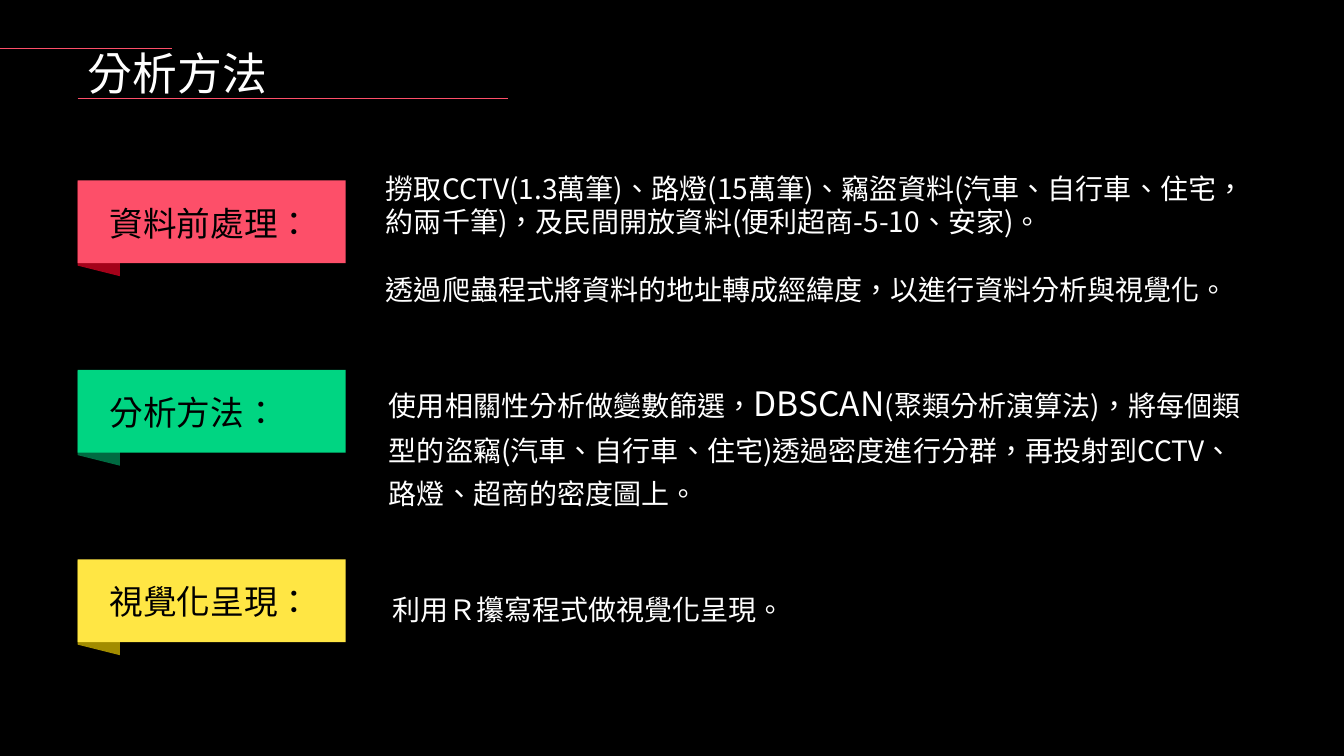
from lxml import etree
from pptx import Presentation
from pptx.dml.color import RGBColor
from pptx.enum.lang import MSO_LANGUAGE_ID
from pptx.enum.shapes import MSO_CONNECTOR, MSO_SHAPE
from pptx.enum.text import MSO_ANCHOR, MSO_AUTO_SIZE, PP_ALIGN
from pptx.oxml.ns import qn
from pptx.util import Inches, Pt

BLACK = RGBColor(0x00, 0x00, 0x00)
WHITE = RGBColor(0xFF, 0xFF, 0xFF)
RED, DARK_RED = RGBColor(0xFD, 0x4F, 0x69), RGBColor(0xA4, 0x02, 0x1A)
GREEN, DARK_GREEN = RGBColor(0x00, 0xD5, 0x82), RGBColor(0x00, 0x6A, 0x41)
YELLOW, DARK_YELLOW = RGBColor(0xFF, 0xE6, 0x44), RGBColor(0xA2, 0x8C, 0x00)
HEAD_FONT, BODY_FONT = "Karla", "Noto Sans CJK SC"

WIDTH, HEIGHT = 13.33, 7.5
LEFT = 0.77
ROW_TOP, ROW_PITCH = 1.79, 1.88
BANNER_W, BANNER_H = 2.66, 0.82
FOLD_W, FOLD_H = 0.42, 0.94
BODY_W = 8.7

# banner text, banner colour, fold colour, body box (left, offset from row top, height),
# line pitch in points, paragraphs made of (text, size) runs
ROWS = [
    ("資料前處理：", RED, DARK_RED, (3.73, -0.14, 1.45), 24, [
        [("撈取CCTV(1.3萬筆)、路燈(15萬筆)、竊盜資料(汽車、自行車、住宅，約兩千筆)，"
          "及民間開放資料(便利超商-5-10、安家)。", 20)],
        [("透過爬蟲程式將資料的地址轉成經緯度，以進行資料分析與視覺化。", 20)]]),
    ("分析方法：", GREEN, DARK_GREEN, (3.76, 0.05, 1.4), 31, [
        [("使用相關性分析做變數篩選，", 20), ("DBSCAN", 24),
         ("(聚類分析演算法)，將每個類型的盜竊(汽車、自行車、住宅)透過密度進行分群，"
          "再投射到CCTV、路燈、超商的密度圖上。", 20)]]),
    ("視覺化呈現：", YELLOW, DARK_YELLOW, (3.79, 0.18, 0.54), 31, [
        [("利用Ｒ攥寫程式做視覺化呈現。", 20)]]),
]


def add_run(p, text, size=20, color=WHITE, font=BODY_FONT):
    r = p.add_run()
    r.text = text
    r.font.size = Pt(size)
    r.font.name = font
    r.font.color.rgb = color
    r.font.language_id = MSO_LANGUAGE_ID.TRADITIONAL_CHINESE
    ea = etree.Element(qn("a:ea"), typeface=BODY_FONT)
    r.font._element.find(qn("a:latin")).addnext(ea)


def add_text(shapes, box, paragraphs, pitch, **fmt):
    """Text box of paragraphs, each a list of (text, size) runs, one blank pitch apart."""
    tf = shapes.add_textbox(*map(Inches, box)).text_frame
    tf.word_wrap = True
    for i, runs in enumerate(paragraphs):
        p = tf.add_paragraph() if i else tf.paragraphs[0]
        p.line_spacing = Pt(pitch)
        if i:
            p.space_before = Pt(pitch)
        for text, size in runs:
            add_run(p, text, size=size, **fmt)


def add_block(shapes, kind, box, color):
    sp = shapes.add_shape(kind, *map(Inches, box))
    sp.shadow.inherit = False
    sp.fill.solid()
    sp.fill.fore_color.rgb = color
    sp.line.fill.background()
    return sp


def add_rule(s, x1, x2, y):
    line = s.shapes.add_connector(MSO_CONNECTOR.STRAIGHT, *map(Inches, (x1, y, x2, y)))
    line.line.color.rgb = RED
    line.line.width = Pt(1)
    etree.SubElement(line._element.spPr, qn("a:effectLst"))


def add_heading(s, text, x, y):
    add_rule(s, 0, x + 0.94, y)
    add_rule(s, x, x + 4.27, y + 0.5)
    title = s.shapes.title
    title.left, title.top, title.width, title.height = map(Inches, (x, y - 0.08, 2.04, 0.65))
    tf = title.text_frame
    tf.auto_size = MSO_AUTO_SIZE.NONE
    tf.vertical_anchor = MSO_ANCHOR.MIDDLE
    p = tf.paragraphs[0]
    p.alignment = PP_ALIGN.LEFT
    add_run(p, text, size=32, font=HEAD_FONT)


def add_banner(s, text, x, y, color, fold_color):
    """Coloured label with a folded tab hanging below its left end."""
    shapes = s.shapes.add_group_shape().shapes
    fold_x = x + (FOLD_W - FOLD_H) / 2
    fold_y = y + 0.01 + (FOLD_H - FOLD_W) / 2
    fold = add_block(shapes, MSO_SHAPE.PARALLELOGRAM, (fold_x, fold_y, FOLD_H, FOLD_W), fold_color)
    fold.rotation = 270
    add_block(shapes, MSO_SHAPE.RECTANGLE, (x, y, BANNER_W, BANNER_H), color)
    add_text(shapes, (x + 0.22, y + 0.18, 2.32, 0.5), [[(text, 24)]], 28,
             color=BLACK, font=HEAD_FONT)


def main():
    prs = Presentation()
    prs.slide_width, prs.slide_height = Inches(WIDTH), Inches(HEIGHT)
    s = prs.slides.add_slide(prs.slide_layouts[5])
    s.background.fill.solid()
    s.background.fill.fore_color.rgb = BLACK
    add_heading(s, "分析方法", LEFT, 0.48)
    for i, (label, color, fold_color, body, pitch, paragraphs) in enumerate(ROWS):
        y = ROW_TOP + i * ROW_PITCH
        left, offset, height = body
        add_banner(s, label, LEFT, y, color, fold_color)
        add_text(s.shapes, (left, y + offset, BODY_W, height), paragraphs, pitch)
    prs.save("out.pptx")


if __name__ == "__main__":
    main()
